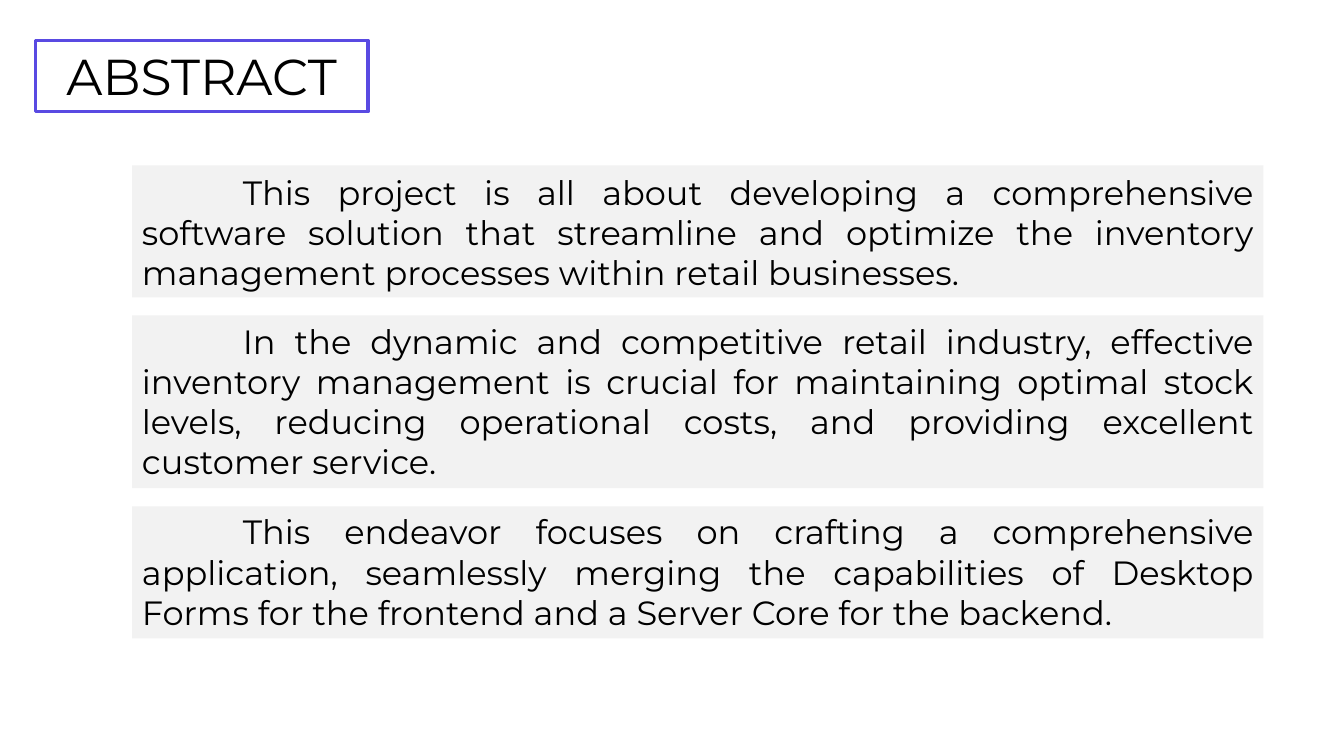
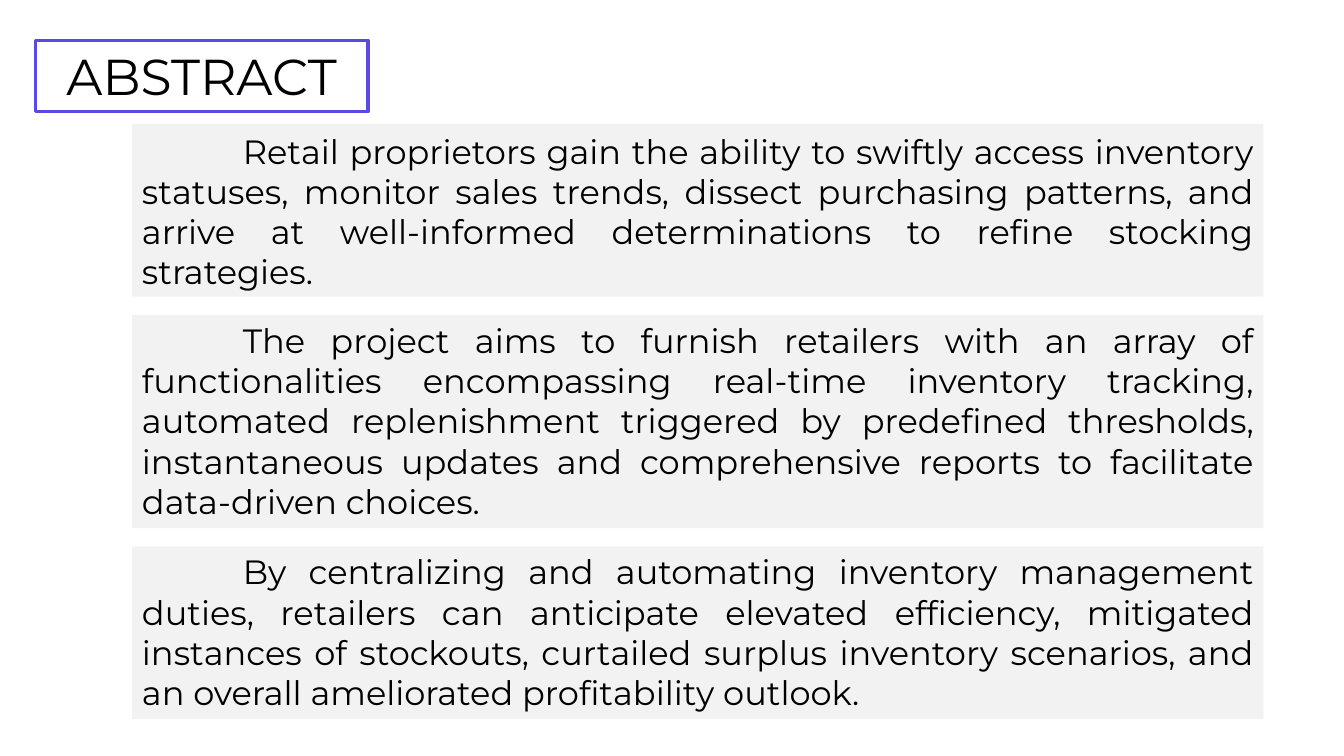
from dataclasses import dataclass

from pptx import Presentation
from pptx.dml.color import RGBColor as Rgb
from pptx.enum.text import MSO_ANCHOR as Anchor, MSO_AUTO_SIZE as Fit, PP_ALIGN as Align
from pptx.util import Inches, Pt


# Shared look
@dataclass(frozen=True)
class Theme:
    font: str = "Montserrat"
    ink: Rgb = Rgb(0, 0, 0)
    paper: Rgb = Rgb(255, 255, 255)
    panel: Rgb = Rgb(0xF2, 0xF2, 0xF2)
    edge: Rgb = Rgb(0x59, 0x4A, 0xE2)
    head: float = 36
    body: float = 24
    rule: float = 2.25


LOOK = Theme()
LEFT, WIDE = 1.31, 11.22  # panel column
GAP, INDENT = 0.18, 1
PAD = 0.05  # above and below the text
LINE = 1.21 * LOOK.body / 72  # height of a text line
FRAME = {
    "word_wrap": True,
    "margin_left": Inches(0.1),
    "margin_right": Inches(0.1),
    "margin_top": Inches(PAD),
    "margin_bottom": Inches(PAD),
}


@dataclass(frozen=True)
class Panel:
    text: str
    lines: int
    anchor: Anchor = Anchor.TOP

    @property
    def high(self) -> float:
        return 2 * PAD + LINE * self.lines


@dataclass(frozen=True)
class Page:
    title: str
    top: float
    panels: tuple[Panel, ...]


# Content
PAGES = (
    Page("ABSTRACT", 1.64, (
        Panel("This project is all about developing a comprehensive software "
              "solution that streamline and optimize the inventory management "
              "processes within retail businesses.", 3, Anchor.BOTTOM),
        Panel("In the dynamic and competitive retail industry, effective "
              "inventory management is crucial for maintaining optimal stock "
              "levels, reducing operational costs, and providing excellent "
              "customer service.", 4),
        Panel("This endeavor focuses on crafting a comprehensive application, "
              "seamlessly merging the capabilities of Desktop Forms for the "
              "frontend and a Server Core for the backend.", 3),
    )),
    Page("ABSTRACT", 1.23, (
        Panel("Retail proprietors gain the ability to swiftly access inventory "
              "statuses, monitor sales trends, dissect purchasing patterns, and "
              "arrive at well-informed determinations to refine stocking "
              "strategies.", 4, Anchor.BOTTOM),
        Panel("The project aims to furnish retailers with an array of "
              "functionalities encompassing real-time inventory tracking, "
              "automated replenishment triggered by predefined thresholds, "
              "instantaneous updates and comprehensive reports to facilitate "
              "data-driven choices.", 5),
        Panel("By centralizing and automating inventory management duties, "
              "retailers can anticipate elevated efficiency, mitigated "
              "instances of stockouts, curtailed surplus inventory scenarios, "
              "and an overall ameliorated profitability outlook.", 4),
    )),
)


def apply(item, form: dict) -> None:
    for name, value in form.items():
        setattr(item, name, value)


def place(shape, left: float, top: float, wide: float, high: float) -> None:
    apply(shape, {"left": Inches(left), "top": Inches(top),
                  "width": Inches(wide), "height": Inches(high)})


def write(shape, text: str, size: float, align: Align, fill: Rgb, form: dict):
    """Fill a shape with one styled paragraph and return it."""
    shape.fill.solid()
    shape.fill.fore_color.rgb = fill
    frame = shape.text_frame
    frame.text = text
    apply(frame, FRAME | form)
    para = frame.paragraphs[0]
    para.alignment = align
    font = para.runs[0].font
    apply(font, {"name": LOOK.font, "size": Pt(size)})
    font.color.rgb = LOOK.ink
    return para


def add_title(slide, text: str) -> None:
    title = slide.shapes.title
    place(title, 0.35, 0.4, 3.3, 0.71)
    write(title, text, LOOK.head, Align.CENTER, LOOK.paper,
          {"auto_size": Fit.NONE, "vertical_anchor": Anchor.TOP})
    title.line.color.rgb = LOOK.edge
    title.line.width = Pt(LOOK.rule)


def add_panel(slide, panel: Panel, top: float) -> None:
    box = slide.shapes.add_textbox(0, 0, 0, 0)
    place(box, LEFT, top, WIDE, panel.high)
    para = write(box, panel.text, LOOK.body, Align.JUSTIFY, LOOK.panel,
                 {"auto_size": Fit.SHAPE_TO_FIT_TEXT,
                  "vertical_anchor": panel.anchor})
    # First-line indent
    props = para._p.get_or_add_pPr()
    props.set("marL", "0")
    props.set("indent", str(Inches(INDENT)))


def add_page(deck, page: Page) -> None:
    slide = deck.slides.add_slide(deck.slide_layouts.get_by_name("Title Only"))
    add_title(slide, page.title)
    # Stack the panels with equal gaps
    top = page.top
    for panel in page.panels:
        add_panel(slide, panel, top)
        top += panel.high + GAP


def main() -> None:
    deck = Presentation()
    apply(deck, {"slide_width": Inches(13.33), "slide_height": Inches(7.5)})
    for page in PAGES:
        add_page(deck, page)
    deck.save("out.pptx")


if __name__ == "__main__":
    main()
